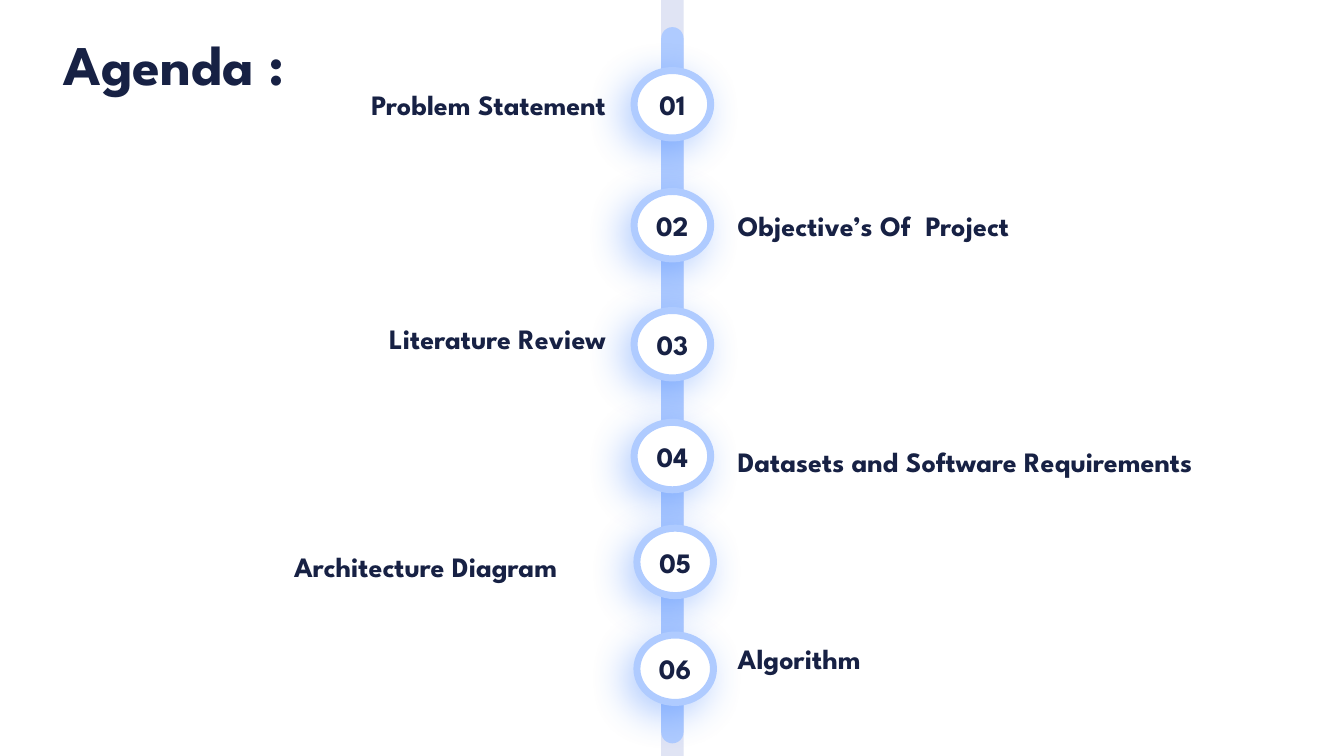
from lxml import etree
from pptx import Presentation
from pptx.dml.color import RGBColor
from pptx.enum.shapes import MSO_SHAPE
from pptx.enum.text import MSO_ANCHOR, PP_ALIGN
from pptx.oxml.ns import qn
from pptx.util import Pt

RECT, ROUND, OVAL = MSO_SHAPE.RECTANGLE, MSO_SHAPE.ROUNDED_RECTANGLE, MSO_SHAPE.OVAL
LEFT, CENTER, RIGHT = PP_ALIGN.LEFT, PP_ALIGN.CENTER, PP_ALIGN.RIGHT
MIDDLE = MSO_ANCHOR.MIDDLE
FONT, NAVY, SKY, BLUE = "League Spartan", "172144", "AFCBFF", "377DFF"
EMU = 12700
BADGE_W, BADGE_H = 54.7, 48.2

STEPS = [
    ("Problem Statement", 50.4, 0, (217.4, 59, 222.6), RIGHT),
    ("Objective’s Of  Project", 136.8, 0, (519.8, 145.4, 244), LEFT),
    ("Literature Review", 221.8, 0, (256, 226.1, 184), RIGHT),
    ("Datasets and Software Requirements", 301.7, 0, (519.8, 313.9, 378), LEFT),
    ("Architecture Diagram", 377.3, 2, (203, 388.8, 237), LEFT),
    ("Algorithm", 453.6, 2, (519.8, 455, 378), LEFT),
]


def color(value):
    return RGBColor.from_string(value)


def write(tf, text, size=20, align=LEFT):
    p = tf.paragraphs[0]
    p.alignment = align
    r = p.add_run()
    r.text = text
    r.font.size = Pt(size)
    r.font.name = FONT
    r.font.bold = True
    r.font.color.rgb = color(NAVY)


def add_label(s, box, text, **fmt):
    tf = s.shapes.add_textbox(*map(Pt, box)).text_frame
    tf.word_wrap = True
    write(tf, text, **fmt)


def add_filled(s, kind, box, fill):
    sp = s.shapes.add_shape(kind, *map(Pt, box))
    sp.shadow.inherit = False
    sp.fill.solid()
    sp.fill.fore_color.rgb = color(fill)
    sp.line.fill.background()
    return sp


def add_glow(sp):
    effects = sp._element.spPr.find(qn("a:effectLst"))
    shadow = etree.SubElement(effects, qn("a:outerShdw"), blurRad=str(28 * EMU),
                              dist=str(9 * EMU), dir=str(135 * 60000),
                              algn="tr", rotWithShape="0")
    clr = etree.SubElement(shadow, qn("a:srgbClr"), val=BLUE)
    etree.SubElement(clr, qn("a:alpha"), val="39000")


def add_badge(s, x, y, text):
    sp = add_filled(s, OVAL, (x, y, BADGE_W, BADGE_H), "FFFFFF")
    sp.line.color.rgb = color(SKY)
    sp.line.width = Pt(5)
    add_glow(sp)
    tf = sp.text_frame
    tf.margin_left = tf.margin_right = 0
    tf.vertical_anchor = MIDDLE
    write(tf, text, align=CENTER)


def add_track(s, x, y, w, h):
    add_filled(s, RECT, (x, y, w, h), "E0E4F4")
    bar = add_filled(s, ROUND, (x, y + 19.4, w, h - 28.4), SKY)
    bar.adjustments[0] = 0.5


def add_timeline(s, x, y, w, h):
    add_track(s, x, y, w, h)
    badge_x = x + (w - BADGE_W) / 2
    for n, (text, top, shift, (left, label_top, width), align) in enumerate(STEPS, 1):
        add_badge(s, badge_x + shift, y + top, f"{n:02d}")
        add_label(s, (left, y + label_top, width, 31.5), text, align=align)


def agenda_slide(prs):
    s = prs.slides.add_slide(prs.slide_layouts[6])
    s.background.fill.solid()
    s.background.fill.fore_color.rgb = color("FFFFFF")
    add_timeline(s, 472.3, 0, 16, 540)
    add_label(s, (38.2, 17.3, 400, 55.4), "Agenda :", size=40)


prs = Presentation()
prs.slide_width, prs.slide_height = Pt(960), Pt(540)
agenda_slide(prs)
prs.save("out.pptx")
